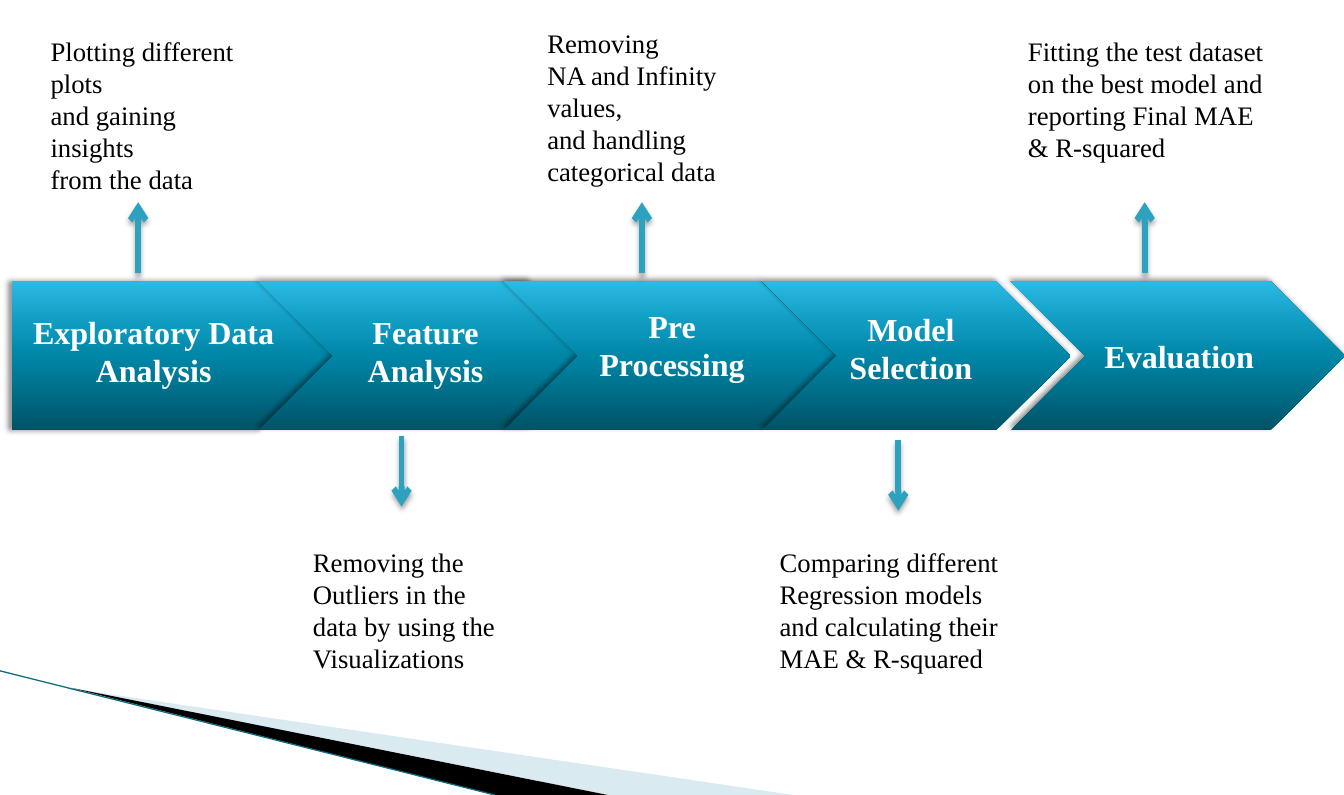
from copy import deepcopy

from lxml import etree
from pptx import Presentation
from pptx.dml.color import RGBColor
from pptx.enum.shapes import MSO_CONNECTOR, MSO_SHAPE
from pptx.enum.text import MSO_ANCHOR, PP_ALIGN
from pptx.oxml.ns import qn
from pptx.util import Pt

PX = 9525
FONT = "Times New Roman"
WHITE = RGBColor(0xFF, 0xFF, 0xFF)
BLACK = RGBColor(0x00, 0x00, 0x00)
ARROW_TEAL = RGBColor(0x2D, 0xA2, 0xBF)
PALE_BLUE = RGBColor(0xA0, 0xCB, 0xDC)
EDGE_TEAL = RGBColor(0x0F, 0x6B, 0x80)
STEP_GRADIENT = [
    (0, RGBColor(0x00, 0x53, 0x67)),
    (0.5, RGBColor(0x00, 0x86, 0xA7)),
    (0.7, RGBColor(0x0E, 0x9A, 0xBE)),
    (1, RGBColor(0x2C, 0xB9, 0xE3)),
]
STRAIGHT = MSO_CONNECTOR.STRAIGHT
PENTAGON = MSO_SHAPE.PENTAGON
CHEVRON = MSO_SHAPE.CHEVRON
MIDDLE = MSO_ANCHOR.MIDDLE
TOP = MSO_ANCHOR.TOP
CENTER = PP_ALIGN.CENTER
LEFT = PP_ALIGN.LEFT

STEP_TOP, STEP_HEIGHT = 281, 149
# kind, left, width, left inset, right inset, lift of the label, shadow angle, lines
STEPS = [
    (PENTAGON, 12, 324, 11, 15, 5, 180, ["Exploratory Data", "Analysis"]),
    (CHEVRON, 258, 345, 0, 11, 5, 225, ["Feature", "Analysis"]),
    (CHEVRON, 503, 333, 11, 8, 11, 225, ["Pre", "Processing"]),
    (CHEVRON, 761, 308, 0, 11, 8, 225, ["Model", "Selection"]),
    (CHEVRON, 1009, 334, 11, 8, 0, 225, ["Evaluation"]),
]
ARROWS = [(138, 273, 202), (641, 273, 202), (1143, 273, 202),
          (401, 435, 506), (897, 439, 510)]
CAPTIONS = [
    (41, 30, 230, 171,
     ["Plotting different plots", "and gaining insights", "from the data"]),
    (303, 540, 203, 139,
     ["Removing the Outliers in the data by using the Visualizations"]),
    (537, 22, 203, 171,
     ["Removing", "NA and Infinity values,", "and handling", "categorical data"]),
    (769, 540, 248, 139,
     ["Comparing different", "Regression models", "and calculating their",
      "MAE & R-squared"]),
    (1017, 30, 262, 139,
     ["Fitting the test dataset", "on the best model and",
      "reporting Final MAE & R-squared"]),
]


def px(*lengths):
    return [length * PX for length in lengths]


def add_shadow(shape, alpha, angle):
    properties = shape._element.spPr
    effects = properties.find(qn("a:effectLst"))
    if effects is None:
        effects = etree.SubElement(properties, qn("a:effectLst"))
    shadow = etree.SubElement(
        effects, qn("a:outerShdw"), blurRad=str(Pt(4)), dist=str(Pt(3)),
        dir=str(angle * 60000), rotWithShape="0")
    color = etree.SubElement(shadow, qn("a:srgbClr"), val=str(BLACK))
    etree.SubElement(color, qn("a:alpha"), val=str(alpha * 1000))


def fill_text(frame, lines, size, color, bold, align, anchor):
    frame.word_wrap = True
    frame.vertical_anchor = anchor
    para = frame.paragraphs[0]
    para.alignment = align
    for index, line in enumerate(lines):
        if index:
            para.add_line_break()
        span = para.add_run()
        span.text = line
        span.font.name = FONT
        span.font.size = Pt(size)
        span.font.bold = bold
        span.font.color.rgb = color


def add_step(page, kind, left, width, inset_left, inset_right, lift, angle, lines):
    step = page.shapes.add_shape(kind, *px(left, STEP_TOP, width, STEP_HEIGHT))
    step.shadow.inherit = False
    step.line.fill.background()
    step.fill.gradient()
    stops = step._element.spPr.find(".//" + qn("a:gsLst"))
    while len(stops) < len(STEP_GRADIENT):
        stops.append(deepcopy(stops[0]))
    for stop, (position, color) in zip(step.fill.gradient_stops, STEP_GRADIENT):
        stop.position = position
        stop.color.rgb = color
    step.fill.gradient_angle = 90
    add_shadow(step, 40, angle)
    frame = step.text_frame
    frame.margin_left, frame.margin_right = px(inset_left, inset_right)
    frame.margin_top, frame.margin_bottom = px(0, 2 * lift)
    fill_text(frame, lines, 24, WHITE, True, CENTER, MIDDLE)


def add_line(page, start, end, color, weight):
    line = page.shapes.add_connector(STRAIGHT, *px(*start, *end))
    line.line.color.rgb = color
    line.line.width = Pt(weight)
    etree.SubElement(line._element.spPr, qn("a:effectLst"))
    return line


def add_arrow(page, x, start, end):
    arrow = add_line(page, (x, start), (x, end), ARROW_TEAL, 4.33)
    outline = arrow._element.spPr.find(qn("a:ln"))
    etree.SubElement(outline, qn("a:tailEnd"), type="arrow")
    add_shadow(arrow, 35, 90)


def add_caption(page, left, top, width, height, lines):
    box = page.shapes.add_textbox(*px(left, top, width, height))
    fill_text(box.text_frame, lines, 20, BLACK, False, LEFT, TOP)


def add_wedge(page, corners, color, opacity):
    builder = page.shapes.build_freeform(*corners[0], scale=PX)
    builder.add_line_segments(corners[1:], close=True)
    wedge = builder.convert_to_shape()
    wedge.shadow.inherit = False
    wedge.line.fill.background()
    wedge.fill.solid()
    wedge.fill.fore_color.rgb = color
    if opacity < 100:
        tint = wedge._element.spPr.find(qn("a:solidFill"))[0]
        etree.SubElement(tint, qn("a:alpha"), val=str(opacity * 1000))


def main():
    deck = Presentation()
    deck.slide_width, deck.slide_height = px(1342, 794)
    page = deck.slides.add_slide(deck.slide_layouts[6])
    add_wedge(page, [(73, 688), (792, 794), (608, 794)], PALE_BLUE, 40)
    add_wedge(page, [(71, 687), (607, 794), (494, 794)], BLACK, 100)
    add_line(page, (0, 670), (494, 794), EDGE_TEAL, 0.95)
    for step in STEPS:
        add_step(page, *step)
    for arrow in ARROWS:
        add_arrow(page, *arrow)
    for caption in CAPTIONS:
        add_caption(page, *caption)
    deck.save("out.pptx")


if __name__ == "__main__":
    main()
